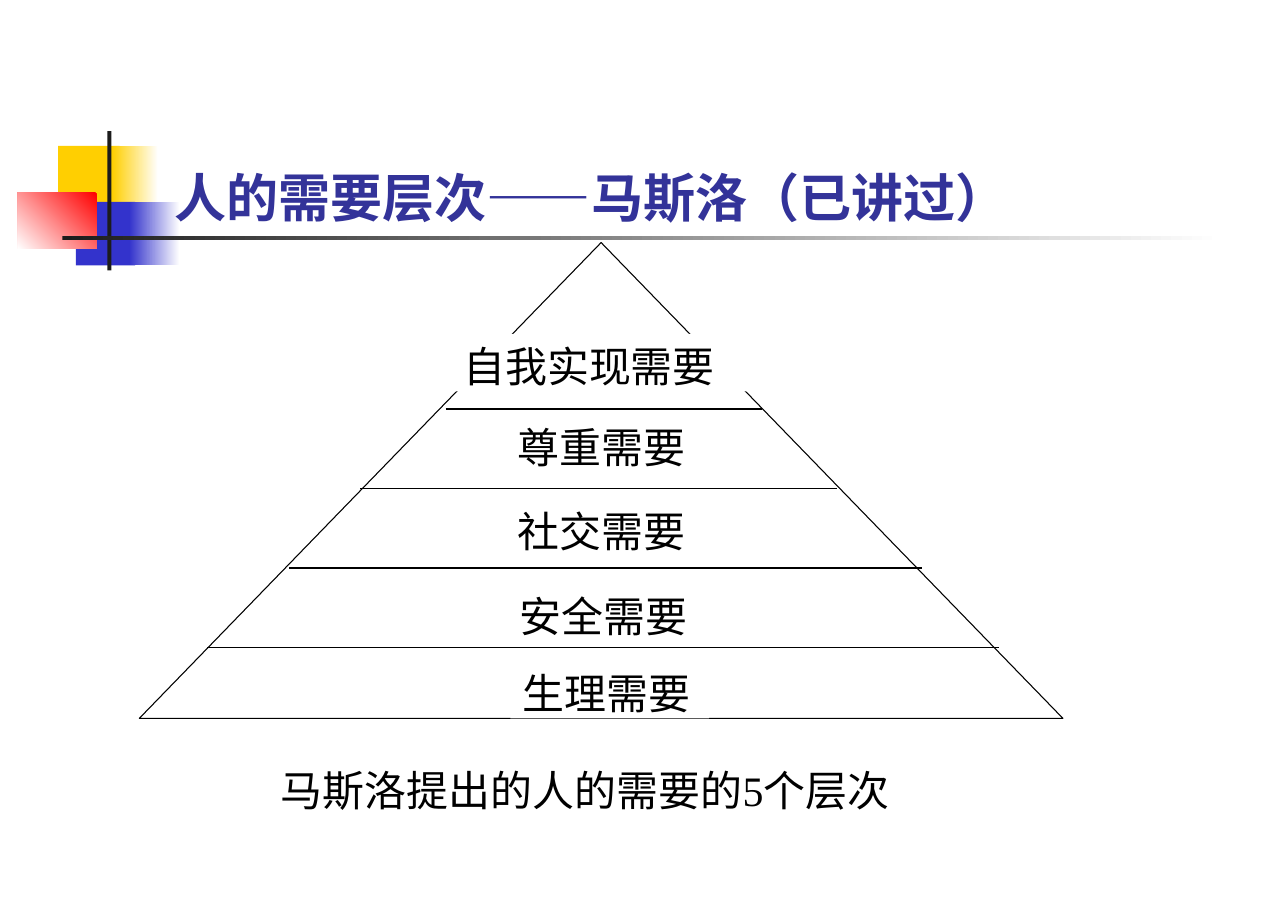
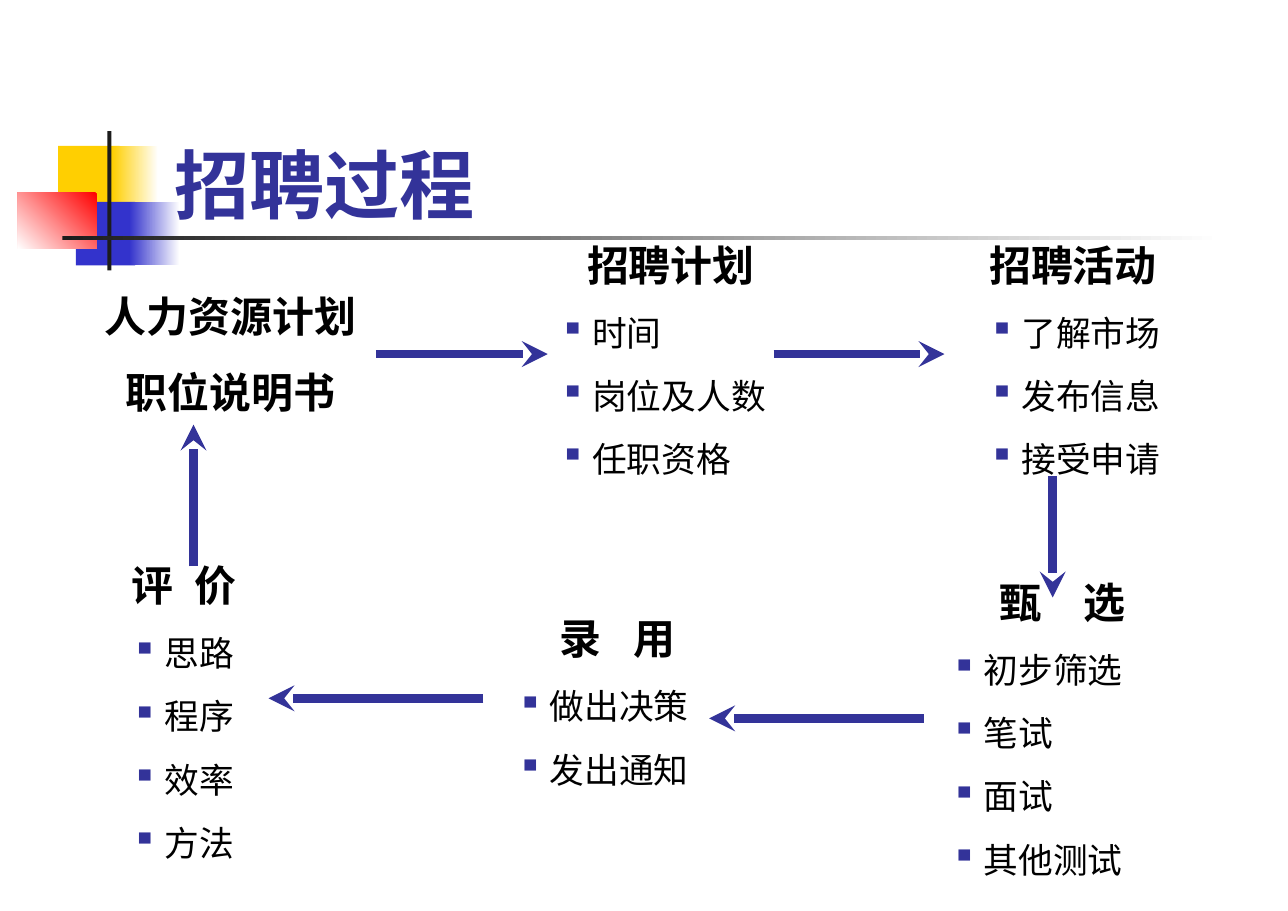
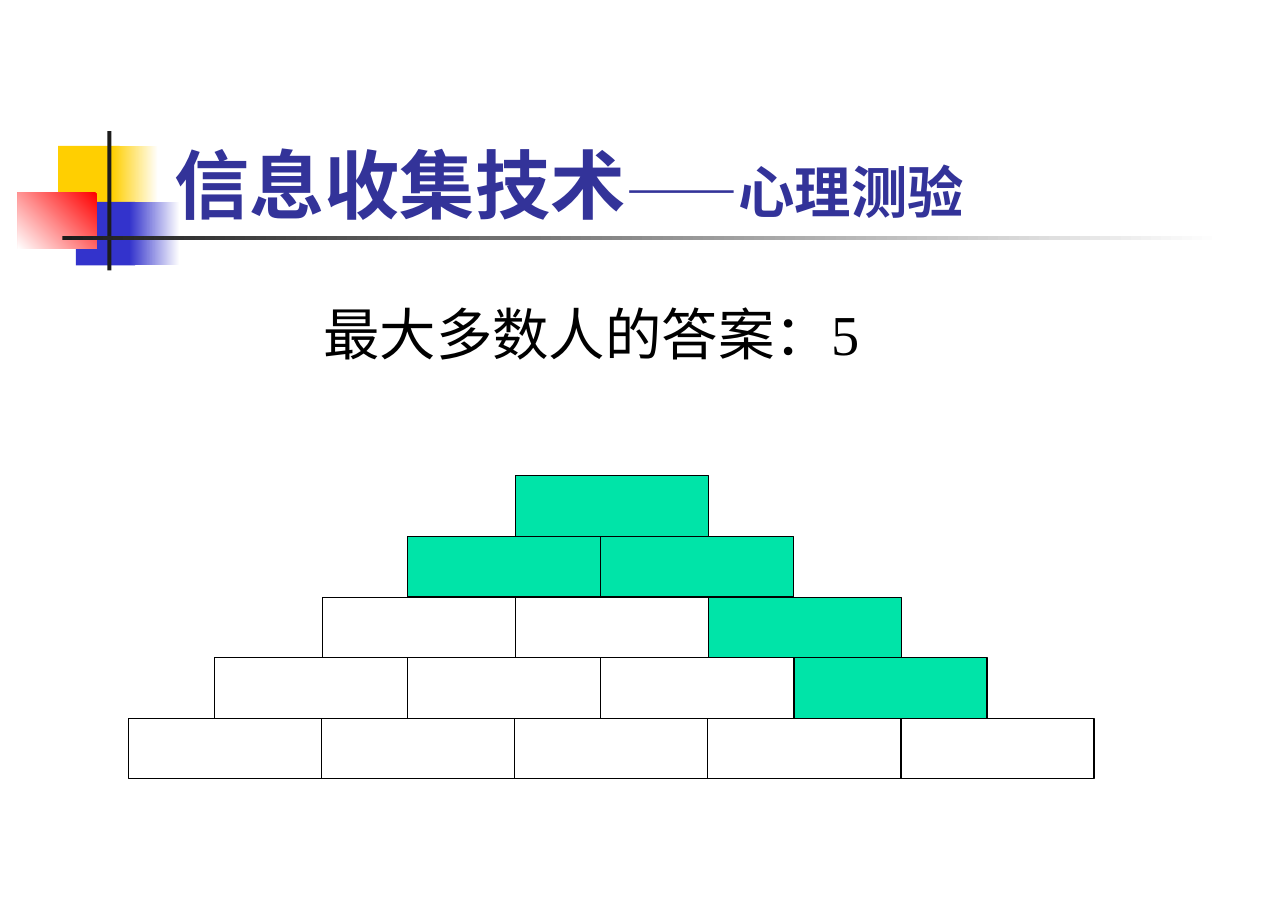
from lxml import etree
from pptx import Presentation
from pptx.dml import color
from pptx.enum import shapes, text
from pptx.oxml import ns
from pptx.util import Cm, Pt

BLACK, WHITE, DARK = "000000", "FFFFFF", "1C1C1C"
NAVY, BLUE, GOLD, RED, GREEN = "333399", "3333CC", "FFCF01", "FF0000", "00E4A8"
SANS, SERIF = "Karla", "Times New Roman"
LEFT, MID, JUST = text.PP_ALIGN.LEFT, text.PP_ALIGN.CENTER, text.PP_ALIGN.JUSTIFY
RECT = shapes.MSO_SHAPE.RECTANGLE

# left, top, width, height, first colour, second colour, gradient angle
DECOR = [
    (1.42, 3.56, 1.5, 1.52, GOLD, None, 0),
    (2.74, 3.56, 1.12, 1.52, GOLD, WHITE, 0),
    (1.85, 4.93, 1.45, 1.55, BLUE, None, 0),
    (3.15, 4.93, 1.24, 1.55, BLUE, WHITE, 0),
    (0.43, 4.7, 1.93, 1.37, RED, WHITE, 225),
    (2.62, 3.2, 0.1, 3.4, DARK, None, 0),
    (1.52, 5.77, 28.3, 0.1, DARK, WHITE, 0),
]


def rgb(code):
    return color.RGBColor.from_string(code)


def place(box):
    return [Cm(n) for n in box]


def add_sub(parent, tag, **attrs):
    return etree.SubElement(parent, ns.qn(tag), **attrs)


def add_box(slide, box, fill=None, line=None, kind=RECT):
    shape = slide.shapes.add_shape(kind, *place(box))
    shape.shadow.inherit = False
    if fill:
        shape.fill.solid()
        shape.fill.fore_color.rgb = rgb(fill)
    else:
        shape.fill.background()
    if line:
        shape.line.color.rgb = rgb(line)
        shape.line.width = Pt(0.75)
    else:
        shape.line.fill.background()
    return shape


def add_line(slide, x1, y1, x2, y2, hue=BLACK, width=0.75, arrow=False):
    line = slide.shapes.add_connector(
        shapes.MSO_CONNECTOR.STRAIGHT, *place((x1, y1, x2, y2)))
    line.line.color.rgb = rgb(hue)
    line.line.width = Pt(width)
    props = line.element.spPr
    if arrow:
        add_sub(props.find(ns.qn("a:ln")), "a:tailEnd", type="stealth")
    add_sub(props, "a:effectLst")
    return line


def set_frame(frame, anchor=text.MSO_ANCHOR.TOP):
    frame.word_wrap = True
    frame.auto_size = text.MSO_AUTO_SIZE.NONE
    frame.vertical_anchor = anchor
    frame.margin_left = frame.margin_right = Cm(0.3)
    frame.margin_top = frame.margin_bottom = Cm(0.15)


def set_runs(para, size, name, hue=BLACK, bold=False):
    for run in para.runs:
        font = run.font
        font.size, font.name, font.bold = Pt(size), name, bold
        font.color.rgb = rgb(hue)


def set_text(shape, words, size, align=LEFT):
    set_frame(shape.text_frame)
    shape.text_frame.text = words
    para = shape.text_frame.paragraphs[0]
    para.alignment = align
    set_runs(para, size, SERIF)


def add_note(slide, box, words, size):
    set_text(slide.shapes.add_textbox(*place(box)), words, size)


def set_title(slide, parts, name=SANS, top=2.01):
    """Fill the title with (words, size) parts, sitting on the rule."""
    title = slide.shapes.title
    title.left, title.top, title.width, title.height = place(
        (3.96, top, 26.8, 5.72 - top))
    set_frame(title.text_frame, text.MSO_ANCHOR.BOTTOM)
    para = title.text_frame.paragraphs[0]
    para.alignment = LEFT
    for words, size in parts:
        para.add_run().text = words
    set_runs(para, size, name, NAVY, True)
    for run, (words, size) in zip(para.runs, parts):
        run.font.size = Pt(size)


def add_bullet(para):
    props = para._p.get_or_add_pPr()
    props.set("marL", str(Cm(0.79)))
    props.set("indent", str(-Cm(0.79)))
    add_sub(add_sub(props, "a:buClr"), "a:srgbClr", val=NAVY)
    add_sub(props, "a:buChar", char="▪")


def add_step(slide, box, heads, items=(), align=MID, gap=0):
    """Add bold heads over a bullet list; gap spreads a two-word head."""
    shape = slide.shapes.add_textbox(*place(box))
    frame = shape.text_frame
    set_frame(frame)
    for i, words in enumerate([*heads, *items]):
        para = frame.paragraphs[0] if i == 0 else frame.add_paragraph()
        head = i < len(heads)
        if head:
            para.alignment = align
        else:
            add_bullet(para)
        if i:
            para.space_before = Pt(18 if head else 15)
        if head and gap:
            para.add_run().text = words[:-1]
            para.add_run().text = words[-1]
            para.runs[0]._r.get_or_add_rPr().set("spc", str(int(gap * 100)))
        else:
            para.text = words
        set_runs(para, 29 if head else 24, SANS, bold=head)
    return shape


def add_decor(slide, layout):
    """Draw the shared corner blocks and rule, and keep them in the layout."""
    for i, (*box, first, second, angle) in enumerate(DECOR):
        shape = add_box(slide, box, first)
        if second:
            shape.fill.gradient()
            shape.fill.gradient_angle = angle
            for stop, hue in zip(shape.fill.gradient_stops, (first, second)):
                stop.color.rgb = rgb(hue)
        shape.element.nvSpPr.cNvPr.set("id", str(20 + i))
        layout.shapes.element.insert(2 + i, shape.element)


def fill_needs(slide):
    set_title(slide, [("人的需要层次——马斯洛（已讲过）", 36)], top=3)
    add_box(slide, (3.4, 5.92, 22.53, 11.61), WHITE, BLACK,
            shapes.MSO_SHAPE.ISOSCELES_TRIANGLE)
    ends = [(10.87, 18.59), (8.79, 20.42), (7.06, 22.5), (5.05, 24.36)]
    for i, (x1, x2) in enumerate(ends):
        y = 9.98 + 1.94 * i
        add_line(slide, x1, y, x2, y)
    for words, x, y, width in [
        ("自我实现需要", 11, 8.15, 7.34),
        ("尊重需要", 12.32, 10.13, 4.85),
        ("社交需要", 12.32, 12.19, 6.76),
        ("安全需要", 12.37, 14.27, 5.18),
        ("生理需要", 12.45, 16.13, 4.85),
    ]:
        set_text(add_box(slide, (x, y, width, 1.4), WHITE), words, 29, JUST)
    add_note(slide, (6.55, 18.52, 16.23, 1.52), "马斯洛提出的人的需要的5个层次", 29)


def fill_hiring(slide):
    set_title(slide, [("招聘过程", 52)])
    plan = add_step(slide, (2.08, 6.94, 7.09, 3.4), ["人力资源计划", "职位说明书"])
    add_step(slide, (13.36, 5.69, 6.02, 6.17), ["招聘计划"],
             ["时间", "岗位及人数", "任职资格"])
    add_step(slide, (23.83, 5.69, 6.02, 6.17), ["招聘活动"],
             ["了解市场", "发布信息", "接受申请"], LEFT)
    add_step(slide, (22.91, 13.92, 6.02, 7.72), ["甄 选"],
             ["初步筛选", "笔试", "面试", "其他测试"], gap=11)
    add_step(slide, (12.32, 14.81, 5.49, 4.62), ["录 用"],
             ["做出决策", "发出通知"], gap=7.5)
    add_step(slide, (2.92, 13.51, 3.66, 7.72), ["评 价"],
             ["思路", "程序", "效率", "方法"], LEFT, 3.75)
    arrows = [add_line(slide, *ends, NAVY, 6, True) for ends in [
        (9.17, 8.64, 13.36, 8.64),
        (18.87, 8.64, 23.04, 8.64),
        (25.68, 11.61, 25.68, 14.58),
        (22.53, 17.53, 17.3, 17.53),
        (11.79, 17.04, 6.55, 17.04),
        (4.72, 13.82, 4.72, 10.36),
    ]]
    arrows[0].begin_connect(plan, 3)


def fill_test(slide):
    set_title(slide, [("信息收集技术", 52), ("——心理测验", 39)], SERIF)
    add_note(slide, (7.59, 7.16, 14.66, 1.96), "最大多数人的答案：5", 39)
    wide, high = 4.71, 1.48
    # left edge, empty bricks, green bricks
    rows = [(12.57, 0, 1), (9.95, 0, 2), (7.86, 2, 1), (5.24, 3, 1), (3.14, 5, 0)]
    for i, (left, empty, green) in enumerate(rows):
        for j in range(empty + green):
            add_box(slide, (left + j * wide, 11.61 + i * high, wide, high),
                    GREEN if j >= empty else None, BLACK)


def main():
    deck = Presentation()
    deck.slide_width, deck.slide_height = Cm(31.42), Cm(22.23)
    layout = deck.slide_layouts[5]
    needs, hiring, test = [deck.slides.add_slide(layout) for _ in range(3)]
    add_decor(needs, layout)
    fill_needs(needs)
    fill_hiring(hiring)
    fill_test(test)
    deck.save("out.pptx")


if __name__ == "__main__":
    main()
